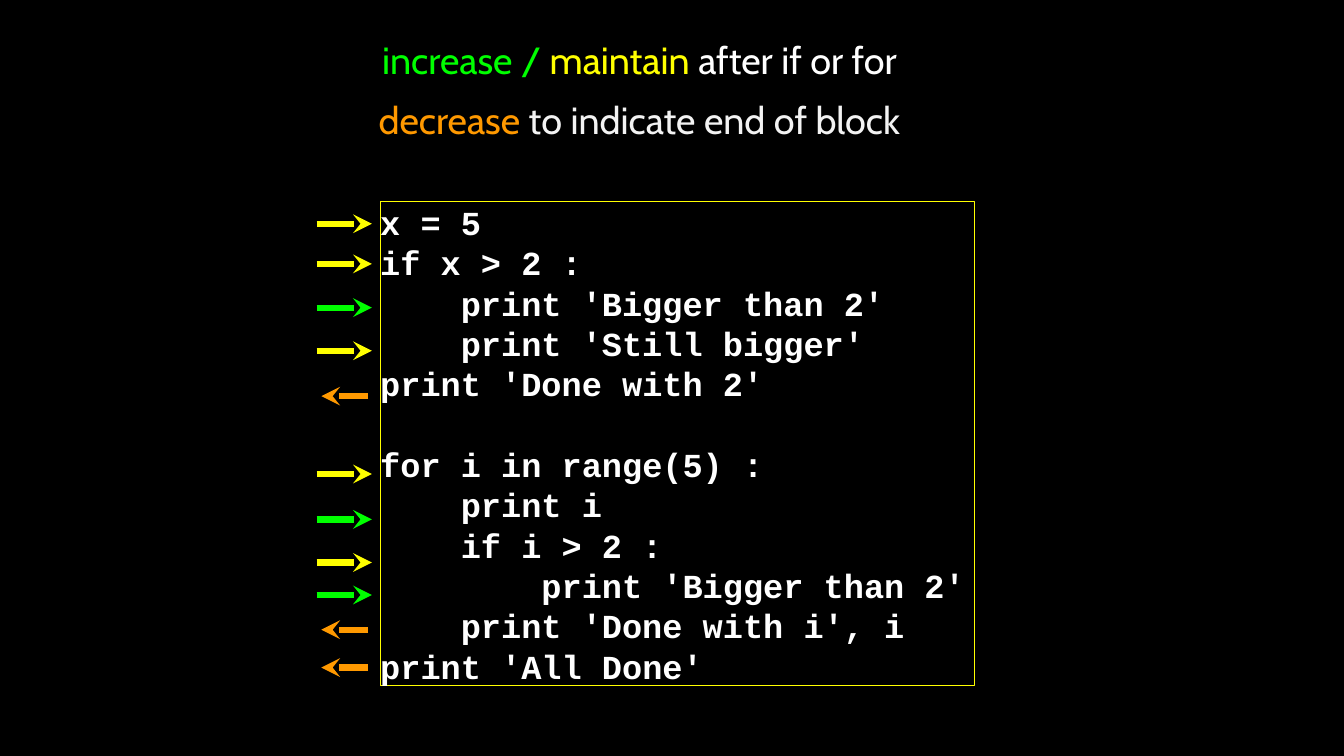
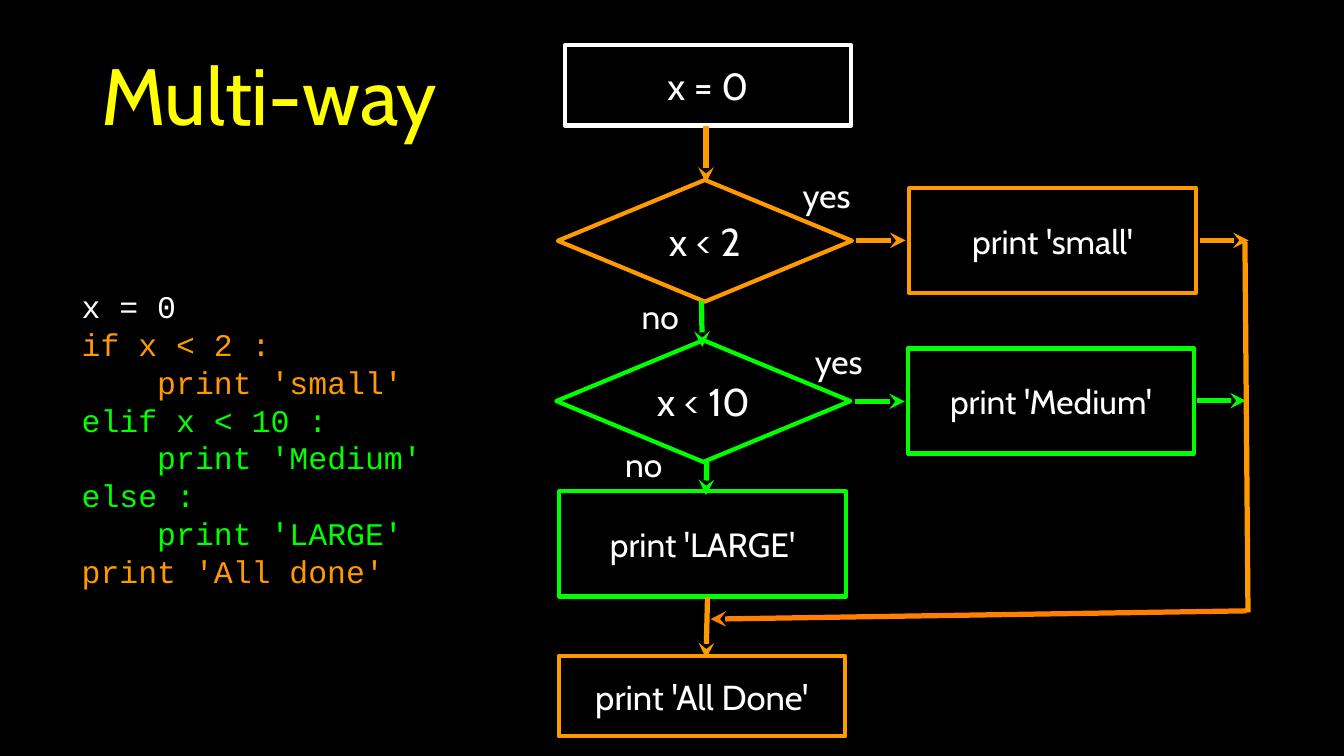
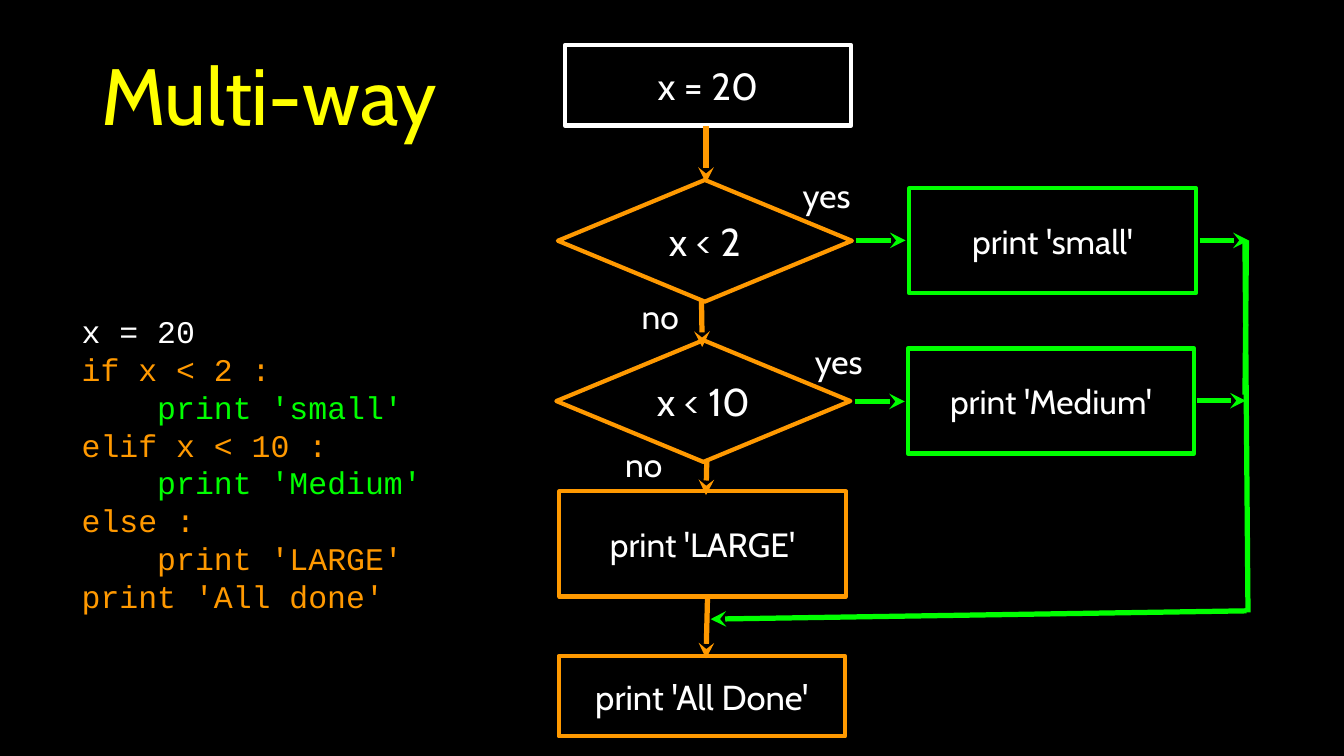
from lxml.etree import SubElement
from pptx import Presentation
from pptx.dml.color import RGBColor
from pptx.enum.shapes import MSO_CONNECTOR, MSO_SHAPE
from pptx.enum.text import MSO_ANCHOR, PP_ALIGN
from pptx.oxml.ns import qn
from pptx.util import Inches, Pt

BLACK = RGBColor(0x00, 0x00, 0x00)
WHITE = RGBColor(0xFF, 0xFF, 0xFF)
PALE = RGBColor(0xF3, 0xF3, 0xF3)
YELLOW = RGBColor(0xFF, 0xFF, 0x00)
GREEN = RGBColor(0x00, 0xFF, 0x00)
ORANGE = RGBColor(0xFF, 0x99, 0x00)
DEEP_ORANGE = RGBColor(0xFF, 0x7F, 0x00)
SANS, MONO = "Cabin", "Courier New"
RECT, DIAMOND = MSO_SHAPE.RECTANGLE, MSO_SHAPE.DIAMOND
BOX_W, LOW_H, TALL_H = 3.79, 1.06, 1.39
DIAMOND_W, DIAMOND_H = 3.89, 1.61
INDENT = 4  # characters per level of code


def add_text(s, lines, at, size, font=SANS, align=PP_ALIGN.CENTER, shape=None,
             line=None, width=4, inset=0, bottom=None, gap=0):
    """Add a text box, or an outlined shape, with one list of (text, colour) runs
    per line. Leading spaces become an indent, an empty line a gap."""
    box = [Inches(v) for v in at]
    if shape is None:
        sp = s.shapes.add_textbox(*box)
    else:
        sp = s.shapes.add_shape(shape, *box)
        sp.shadow.inherit = False
        sp.fill.background()
        sp.line.color.rgb = line
        sp.line.width = Pt(width)
    tf = sp.text_frame
    tf.word_wrap = True
    tf.vertical_anchor = MSO_ANCHOR.MIDDLE
    tf.margin_left = tf.margin_right = tf.margin_top = Inches(inset)
    tf.margin_bottom = Inches(inset if bottom is None else bottom)
    p, before = None, 0
    for runs in lines:
        if not runs:
            before = size * 1.2
            continue
        p = tf.add_paragraph() if p is not None else tf.paragraphs[0]
        p.alignment = align
        p.space_before = Pt(before)
        before = gap
        first = runs[0][0]
        spaces = len(first) - len(first.lstrip())
        if spaces:
            level = spaces // INDENT
            p._p.get_or_add_pPr().set("marL", str(Pt(level * INDENT * size * 0.6)))
        for text, color in runs:
            r = p.add_run()
            r.text = text.lstrip()
            r.font.name, r.font.size, r.font.color.rgb = font, Pt(size), color
            r.font.bold = font == MONO and shape is not None
    return sp


def add_line(s, start, end, color, width=5, arrow=True):
    c = s.shapes.add_connector(MSO_CONNECTOR.STRAIGHT,
                               *[Inches(v) for v in (*start, *end)])
    c.line.color.rgb = color
    c.line.width = Pt(width)
    if arrow:
        SubElement(c.line._get_or_add_ln(), qn("a:tailEnd"), type="stealth")
    SubElement(c._element.spPr, qn("a:effectLst"))


prs = Presentation()
prs.slide_width, prs.slide_height = Inches(17.78), Inches(10)
slides = []
for _ in range(3):
    s = prs.slides.add_slide(prs.slide_layouts[6])
    s.background.fill.solid()
    s.background.fill.fore_color.rgb = BLACK
    slides.append(s)

# Slide 1: indentation
s = slides[0]
code = """x = 5
if x > 2 :
    print 'Bigger than 2'
    print 'Still bigger'
print 'Done with 2'

for i in range(5) :
    print i
    if i > 2 :
        print 'Bigger than 2'
    print 'Done with i', i
print 'All Done'"""
add_text(s, [[(t, WHITE)] if t else [] for t in code.split("\n")],
         (5.03, 2.67, 7.86, 6.4), 32, font=MONO, align=PP_ALIGN.LEFT,
         shape=RECT, line=YELLOW, width=1)
add_text(s, [[("increase / ", GREEN), ("maintain ", YELLOW), ("after if or for", WHITE)],
             [("decrease ", ORANGE), ("to indicate end of block", PALE)]],
         (4.53, 0.39, 7.86, 1.82), 36, bottom=0.24, gap=14)
for color, rows in ((YELLOW, (2.96, 3.49, 4.64, 6.27, 7.44)),
                    (GREEN, (4.07, 6.87, 7.87)),
                    (ORANGE, (5.24, 8.33, 8.83))):
    left, right = (4.87, 4.25) if color == ORANGE else (4.19, 4.92)
    for y in rows:
        add_line(s, (left, y), (right, y), color, width=6)

# Slides 2 and 3: the same flowchart, with the path taken in its own colours
runs = (
    dict(x="x = 0", small=ORANGE, later=GREEN, back=DEEP_ORANGE, code=(5.25, 4.9)),
    dict(x="x = 20", small=GREEN, later=ORANGE, back=GREEN, code=(5.52, 5.56)),
)
for s, run in zip(slides[1:], runs):
    small, later = run["small"], run["later"]
    add_text(s, [[("Multi-way", YELLOW)]], (0.61, 0.33, 5.9, 1.81), 76, inset=0.04)
    code = ((run["x"], WHITE), ("if x < 2 :", ORANGE), ("    print 'small'", small),
            ("elif x < 10 :", later), ("    print 'Medium'", GREEN),
            ("else :", later), ("    print 'LARGE'", later),
            ("print 'All done'", ORANGE))
    add_text(s, [[line] for line in code], (1.08, 3.35, *run["code"]), 30,
             font=MONO, align=PP_ALIGN.LEFT)

    for text, x, y, h, size, color in (
            (run["x"], 7.47, 0.6, LOW_H, 36, WHITE),
            ("print 'small'", 12.03, 2.49, TALL_H, 32, small),
            ("print 'Medium'", 12.01, 4.61, TALL_H, 32, GREEN),
            ("print 'LARGE'", 7.4, 6.5, TALL_H, 32, later),
            ("print 'All Done'", 7.39, 8.68, LOW_H, 33, ORANGE)):
        add_text(s, [[(text, WHITE)]], (x, y, BOX_W, h), size, shape=RECT, line=color)
    for text, x, y, color in (("x < 2", 7.38, 2.38, ORANGE), ("x < 10", 7.36, 4.5, later)):
        add_text(s, [[(text, WHITE)]], (x, y, DIAMOND_W, DIAMOND_H), 37,
                 shape=DIAMOND, line=color)
    for text, x, y, w in (("yes", 10.59, 2.27, 0.69), ("no", 8.44, 3.88, 0.59),
                          ("yes", 10.75, 4.47, 0.69), ("no", 8.22, 5.83, 0.59)):
        add_text(s, [[(text, WHITE)]], (x, y, w, 0.61), 32)

    for start, end, color in (
            ((9.34, 1.67), (9.34, 2.42), ORANGE),
            ((9.28, 3.98), (9.29, 4.59), later),
            ((9.35, 6.1), (9.34, 6.55), later),
            ((9.36, 7.9), (9.34, 8.71), ORANGE),
            ((11.33, 3.18), (11.98, 3.18), small),
            ((15.87, 3.18), (16.52, 3.18), small),
            ((11.31, 5.31), (11.97, 5.31), GREEN),
            ((15.83, 5.3), (16.48, 5.3), GREEN),
            ((16.49, 8.08), (9.4, 8.19), run["back"])):
        add_line(s, start, end, color)
    add_line(s, (16.51, 8.1), (16.47, 3.2), small, arrow=False)
add_line(slides[2], (16.47, 5.22), (16.49, 3.18), GREEN, arrow=False)

prs.save("out.pptx")
